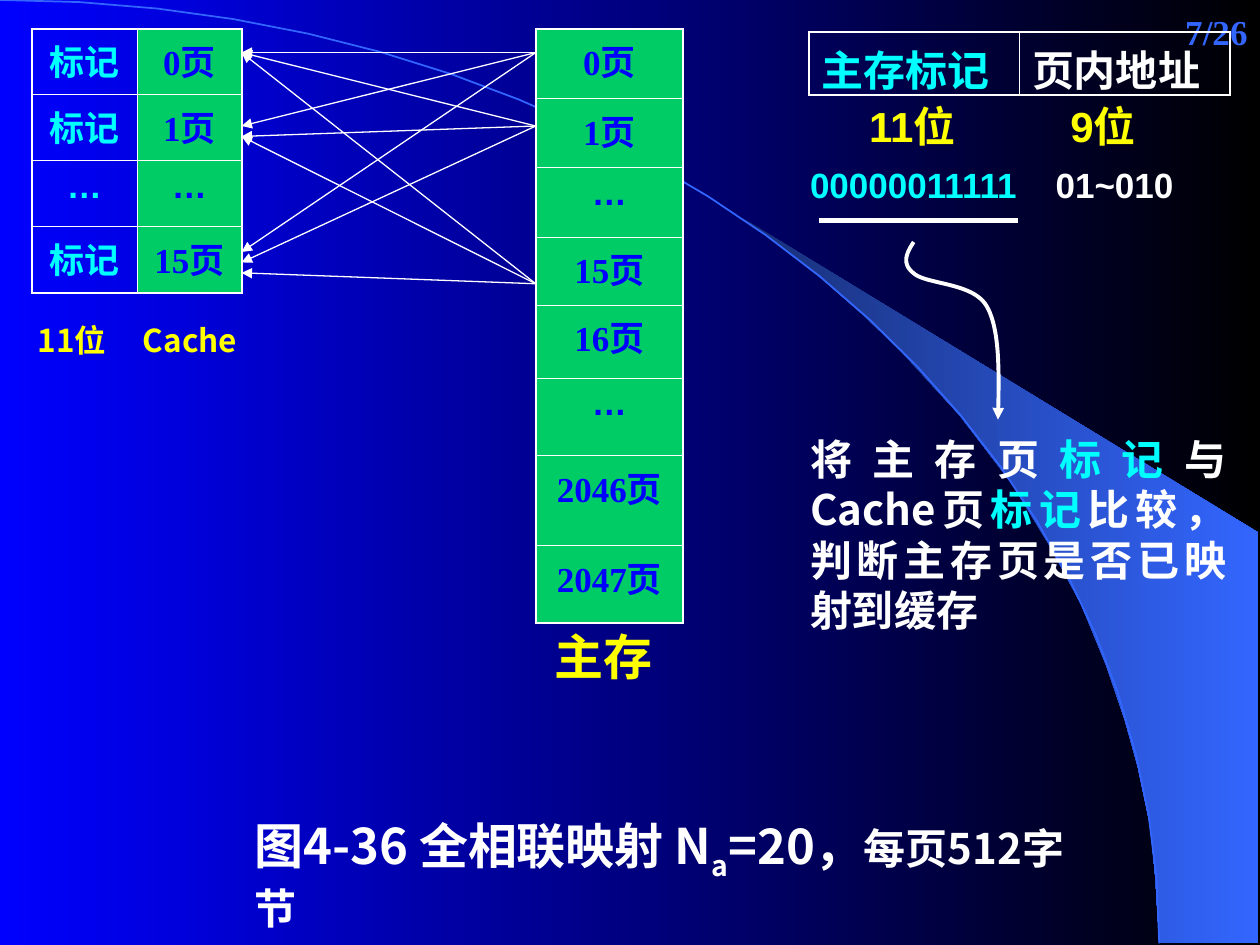
from itertools import product

from lxml import etree
from pptx import Presentation
from pptx import util as u
from pptx.dml import color as dml
from pptx.enum import shapes, text
from pptx.oxml import ns

WHITE, CYAN, BLUE = "FFFFFF", "00FFFF", "0000FF"
YELLOW, GREEN, SKY = "FFFF00", "00CC66", "3366FF"
SANS, ARIAL, SERIF = "Noto Sans CJK SC", "Arial", "Times New Roman"
MID, END = text.MSO_ANCHOR.MIDDLE, text.PP_ALIGN.RIGHT
CENTER, FULL = text.PP_ALIGN.CENTER, text.PP_ALIGN.JUSTIFY


def rgb(code):
    return dml.RGBColor.from_string(code)


def sub(node, tag, **attrs):
    return etree.SubElement(node, ns.qn(tag), attrs)


def blend(fill, first, last):
    """Left to right gradient."""
    fill.gradient()
    fill.gradient_angle = 0
    for stop, code in zip(fill.gradient_stops, (first, last)):
        stop.color.rgb = rgb(code)


def bezier(nodes, steps=24):
    """Points along joined cubic curves; every third node is an anchor."""
    points = [nodes[0]]
    for i in range(0, len(nodes) - 1, 3):
        for k in range(1, steps + 1):
            t = k / steps
            mix = ((1 - t) ** 3, 3 * t * (1 - t) ** 2, 3 * t * t * (1 - t), t ** 3)
            points.append(tuple(sum(m * n[axis] for m, n in zip(mix, nodes[i:i + 4]))
                                for axis in (0, 1)))
    return points


class Board:
    def __init__(self, slide):
        self.slide = slide
        self.items = slide.shapes
        self.ink = WHITE
        self.thin, self.thick = 0.45, 1.08

    def fill_in(self, para, runs, size, font, align=None, before=0, tab=None):
        para.alignment = align
        if before:
            para.space_before = u.Pt(before)
        if tab:
            stops = sub(para._p.get_or_add_pPr(), "a:tabLst")
            sub(stops, "a:tab", pos=str(u.Cm(tab)), algn="l")
        for words, code, *more in runs:
            opts = more[0] if more else {}
            run = para.add_run()
            run.text = words
            run.font.name = font
            run.font.size = u.Pt(opts.get("size", size))
            run.font.bold = True
            run.font.color.rgb = rgb(code)
            if "base" in opts:
                run.font._element.set("baseline", str(opts["base"] * 1000))
            sub(run.font._element, "a:ea", typeface=SANS)

    def label(self, x, y, w, h, runs, size, font=SANS, inset=0.25, anchor=None, **para):
        frame = self.items.add_textbox(u.Cm(x), u.Cm(y), u.Cm(w), u.Cm(h)).text_frame
        frame.word_wrap = True
        frame.margin_left = u.Cm(inset)
        if anchor:
            frame.vertical_anchor = anchor
        self.fill_in(frame.paragraphs[0], runs, size, font, **para)

    def stroke(self, shape, width, code, arrow):
        shape.line.color.rgb = rgb(code)
        shape.line.width = u.Pt(width)
        if arrow:
            sub(shape.line._get_or_add_ln(), "a:tailEnd", type="triangle")

    def line(self, start, end, width, arrow=False):
        ends = [u.Cm(v) for v in (*start, *end)]
        link = self.items.add_connector(shapes.MSO_CONNECTOR.STRAIGHT, *ends)
        self.stroke(link, width, self.ink, arrow)
        sub(link._element.spPr, "a:effectLst")

    def outline(self, points, width=0, code=WHITE, arrow=False, fade=None):
        first, *rest = [(u.Cm(x), u.Cm(y)) for x, y in points]
        pen = self.items.build_freeform(*first)
        pen.add_line_segments(rest, close=bool(fade))
        shape = pen.convert_to_shape()
        shape.shadow.inherit = False
        if fade:
            blend(shape.fill, *fade)
        else:
            shape.fill.background()
        if width:
            self.stroke(shape, width, code, arrow)
        else:
            shape.line.fill.background()

    def border(self, cell, edges):
        for side, outer in edges.items():
            width = u.Pt(self.thick if outer else self.thin)
            ln = sub(cell._tc.get_or_add_tcPr(), "a:ln" + side, w=str(width))
            sub(sub(ln, "a:solidFill"), "a:srgbClr", val=self.ink)

    def grid(self, x, y, cols, rows, cells, inks, fills, size, before, align=None):
        frame = self.items.add_table(len(rows), len(cols), u.Cm(x), u.Cm(y),
                                     u.Cm(sum(cols)), u.Cm(sum(rows)))
        table = frame.table
        table.first_row = table.horz_banding = False
        for col, w in zip(table.columns, cols):
            col.width = u.Cm(w)
        for row, h in zip(table.rows, rows):
            row.height = u.Cm(h)
        for r, c in product(range(len(rows)), range(len(cols))):
            cell, words = table.cell(r, c), cells[r][c]
            self.border(cell, {"L": c == 0, "R": c == len(cols) - 1,
                               "T": r == 0, "B": r == len(rows) - 1})
            if fills[c]:
                cell.fill.solid()
                cell.fill.fore_color.rgb = rgb(fills[c])
            else:
                cell.fill.background()
            self.fill_in(cell.text_frame.paragraphs[0], [(words, inks[c])], size,
                         ARIAL if words == "…" else SERIF, align, before)


def main():
    deck = Presentation()
    deck.slide_width, deck.slide_height = u.Cm(25.4), u.Cm(19.05)
    board = Board(deck.slides.add_slide(deck.slide_layouts[6]))

    # Backdrop: gradient, bright wedge and long arc
    blend(board.slide.background.fill, BLUE, "000000")
    board.outline([(23.37, 19), (25.37, 19.02), (25.37, 10.74), (14.96, 4.39),
                   (15.85, 5.05), (16.59, 5.64), (17.4, 6.35), (18.19, 7.11),
                   (19.35, 8.38), (20.4, 9.75), (21.13, 10.95), (21.79, 12.17),
                   (22.3, 13.41), (22.68, 14.53), (22.94, 15.47), (23.19, 16.66),
                   (23.29, 17.68)], fade=("182F76", SKY))
    board.outline(bezier([(0, 0), (12.9, 0), (23.37, 8.51), (23.37, 19.02)]), 1, SKY)
    board.label(20.12, 0, 5.28, 1.27, [("7/26", SKY)], 20, SERIF, anchor=MID, align=END)

    # Cache table
    pages = ["0页", "1页", "…", "15页"]
    tags = [("…" if page == "…" else "标记", page) for page in pages]
    board.grid(0.64, 0.58, [2.12] * 2, [1.33] * 4, tags, (CYAN, BLUE), (None, GREEN),
               20, 5, CENTER)
    board.label(0.23, 6.35, 5.05, 1.02, [("11位\tCache", YELLOW)], 18, inset=0.53, tab=2.12)

    # Main memory table
    rows = [1.4, 1.4, 1.4, 1.37, 1.47, 1.57, 1.8, 1.57]
    cells = [(page,) for page in pages + ["16页", "…", "2046页", "2047页"]]
    board.grid(10.8, 0.58, [2.97], rows, cells, (BLUE,), (GREEN,), 20, 5, CENTER)
    board.label(10.36, 12.5, 3.61, 1.45, [("主存", YELLOW)], 28, align=CENTER)

    # Every memory page may go to every cache page
    fans = {1.06: (1.06, 2.54, 5.08), 5.72: (1.06, 2.75, 5.5), 2.54: (1.06, 2.75, 5.29)}
    for start, ends in fans.items():
        for end in ends:
            board.line((10.8, start), (4.87, end), 0.75, arrow=True)

    # Address fields
    board.grid(16.31, 0.64, [4.24] * 2, [1.27], [("主存标记", "页内地址")], (CYAN, WHITE),
               (None, None), 24, 6)
    board.label(16.71, 1.9, 7.19, 1.27, [("11位\t9位", YELLOW)], 24, ARIAL,
                inset=0.81, tab=4.06)

    # Tag comparison
    board.label(16.08, 8.61, 8.89, 4.32,
                [("将主存页", WHITE), ("标记", CYAN), ("与Cache页", WHITE),
                 ("标记", CYAN), ("比较，判断主存页是否已映射到缓存", WHITE)],
                24, align=FULL)
    board.line((16.51, 4.45), (20.52, 4.45), 3)
    board.outline(bezier([(18.42, 4.88), (18.29, 5.08), (18.16, 5.31), (18.42, 5.51),
                          (18.67, 5.74), (19.61, 5.69), (19.89, 6.17),
                          (20.17, 6.65), (20.14, 7.57), (20.12, 8.46)]), 2.25, arrow=True)

    # Caption and sample address
    board.label(4.88, 16.31, 17.58, 2.62,
                [("图4-36 全相联映射 N", WHITE), ("a", WHITE, {"base": -25}),
                 ("=20，", WHITE), ("每页512字节", WHITE, {"size": 24})], 28)
    board.label(16.08, 3.18, 8.89, 1.12, [("00000011111", CYAN), ("\t01~010", WHITE)],
                20, ARIAL, before=12.5, tab=4.95)

    deck.save("out.pptx")


if __name__ == "__main__":
    main()
